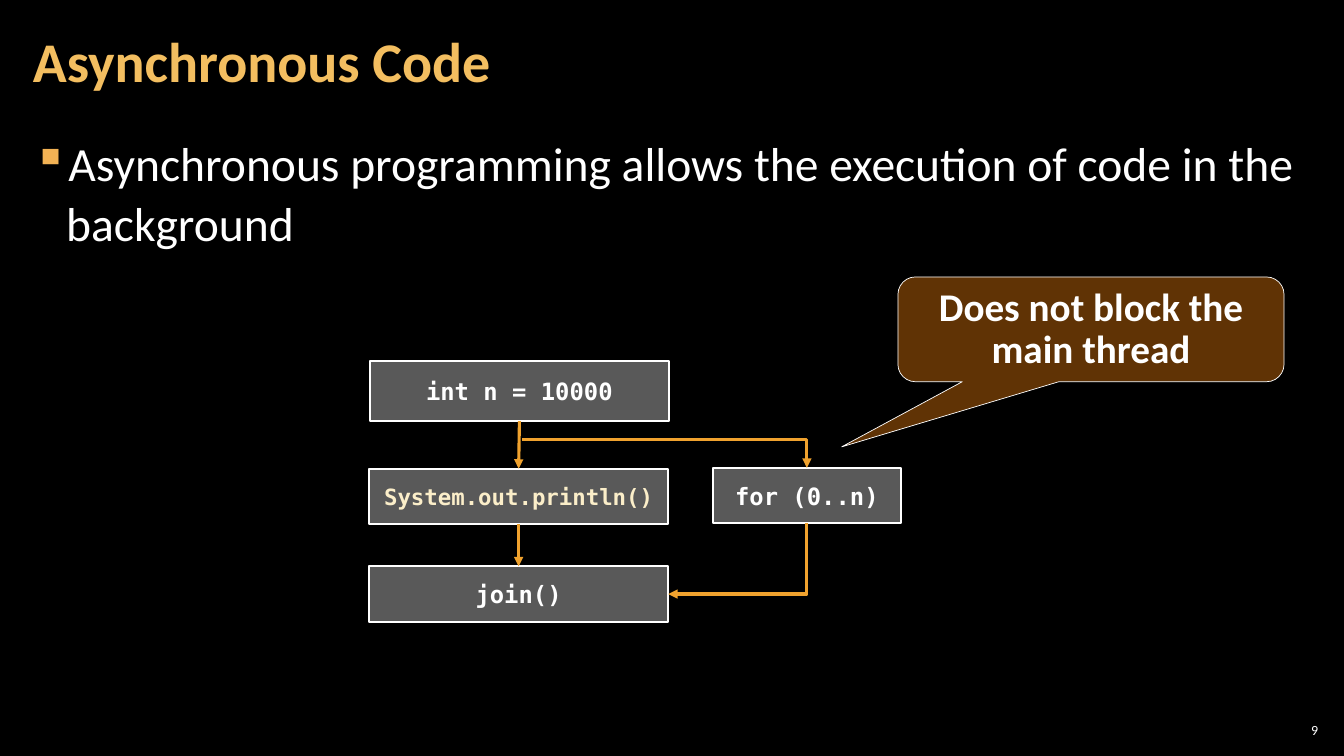
from lxml import etree
from pptx import Presentation
from pptx.dml.color import RGBColor
from pptx.enum.shapes import MSO_CONNECTOR, MSO_SHAPE
from pptx.enum.text import MSO_ANCHOR, PP_ALIGN
from pptx.oxml.ns import qn
from pptx.util import Cm, Pt

STRAIGHT, ELBOW = MSO_CONNECTOR.STRAIGHT, MSO_CONNECTOR.ELBOW
RECT, CALLOUT = MSO_SHAPE.RECTANGLE, MSO_SHAPE.ROUNDED_RECTANGULAR_CALLOUT
TOP, MIDDLE = MSO_ANCHOR.TOP, MSO_ANCHOR.MIDDLE
LEFT, CENTER, RIGHT = PP_ALIGN.LEFT, PP_ALIGN.CENTER, PP_ALIGN.RIGHT

BLACK = RGBColor(0x00, 0x00, 0x00)
WHITE = RGBColor(0xFF, 0xFF, 0xFF)
GOLD = RGBColor(0xF3, 0xBE, 0x60)
BULLET = RGBColor(0xF2, 0xB2, 0x54)
CREAM = RGBColor(0xFB, 0xEE, 0xC9)
GRAY = RGBColor(0x59, 0x59, 0x59)
ORANGE = RGBColor(0xF0, 0xA2, 0x2E)
BROWN = RGBColor(0x66, 0x36, 0x06)
SANS, MONO = "Calibri", "DejaVu Sans Mono"


def write(sp, text, size, color=WHITE, font=SANS, bold=False, align=LEFT, anchor=MIDDLE):
    tf = sp.text_frame
    tf.word_wrap = True
    tf.vertical_anchor = anchor
    p = tf.paragraphs[0]
    p.alignment = align
    r = p.add_run()
    r.text = text
    r.font.name = font
    r.font.size = Pt(size)
    r.font.bold = bold
    r.font.color.rgb = color
    return p


def add_text(s, box, text, size, inset, **style):
    sp = s.shapes.add_textbox(*map(Cm, box))
    tf = sp.text_frame
    tf.margin_left = tf.margin_right = Cm(inset)
    tf.margin_top = tf.margin_bottom = Cm(0.1)
    return write(sp, text, size, **style)


def add_panel(s, kind, box, fill, line_width):
    sp = s.shapes.add_shape(kind, *map(Cm, box))
    sp.shadow.inherit = False
    sp.fill.solid()
    sp.fill.fore_color.rgb = fill
    sp.line.color.rgb = WHITE
    sp.line.width = Pt(line_width)
    return sp


def add_arrow(s, kind, source=None, target=None, start=(0, 0)):
    cxn = s.shapes.add_connector(kind, *start, *start)
    if source:
        cxn.begin_connect(*source)
    if target:
        cxn.end_connect(*target)
    cxn.line.color.rgb = ORANGE
    cxn.line.width = Pt(2.25)
    etree.SubElement(cxn.line._get_or_add_ln(), qn("a:tailEnd"), type="triangle")
    spPr = cxn._element.spPr
    etree.SubElement(spPr, qn("a:effectLst"))
    if kind == ELBOW:
        spPr.find(qn("a:prstGeom")).set("prst", "bentConnector2")
    return cxn


def turn_down_then_left(cxn):
    x1, y1, x2, y2 = cxn.begin_x, cxn.begin_y, cxn.end_x, cxn.end_y
    xfrm = cxn._element.spPr.find(qn("a:xfrm"))
    for flip in ("flipH", "flipV"):
        xfrm.attrib.pop(flip, None)
    xfrm.set("rot", "5400000")
    cxn.width, cxn.height = y2 - y1, x1 - x2
    cxn.left = (x1 + x2 - cxn.width) // 2
    cxn.top = (y1 + y2 - cxn.height) // 2


def add_title(s, box):
    p = add_text(s, box, "Asynchronous Code", 40, 0.3, color=GOLD, bold=True)
    p.line_spacing = 0.9


def add_body(s, box):
    p = add_text(s, box, "Asynchronous programming allows the execution of code in the background",
                 34, 0.3, anchor=TOP)
    pPr = p._p.get_or_add_pPr()
    pPr.set("marL", str(Cm(0.84)))
    pPr.set("indent", str(-Cm(0.84)))
    clr = etree.SubElement(pPr, qn("a:buClr"))
    etree.SubElement(clr, qn("a:srgbClr"), val=str(BULLET))
    etree.SubElement(pPr, qn("a:buChar"), char="▪")
    p.line_spacing = 1.05
    p.space_after = Pt(6)


def add_flow(s, box):
    x, y, w, h = box
    wide, narrow, tall = 7.54, 4.75, 1.4

    def step(dx, dy, width, height, code, size=17, color=WHITE):
        sp = add_panel(s, RECT, (x + dx, y + dy, width, height), GRAY, 1.5)
        write(sp, code, size, color, MONO, True, CENTER)
        return sp

    declare = step(0.02, 0, wide, 1.52, "int n = 10000")
    output = step(0, 2.72, wide, tall, "System.out.println()", 16, CREAM)
    loop = step(w - narrow, 2.7, narrow, tall, "for (0..n)")
    join = step(0, h - tall, wide, tall, "join()")

    add_arrow(s, STRAIGHT, (declare, 2), (output, 0))
    add_arrow(s, STRAIGHT, (output, 2), (join, 0))
    add_arrow(s, ELBOW, target=(loop, 0), start=(Cm(x + 3.86), Cm(y + 1.98)))
    turn_down_then_left(add_arrow(s, ELBOW, (loop, 2), (join, 3)))


def add_callout(s, box):
    sp = add_panel(s, CALLOUT, box, BROWN, 0.5)
    for i, value in enumerate((-0.646, 1.122, 0.167)):
        sp.adjustments[i] = value
    clr = sp._element.spPr.find(qn("a:solidFill")).find(qn("a:srgbClr"))
    etree.SubElement(clr, qn("a:alpha"), val="95000")
    p = write(sp, "Does not block the main thread", 28, bold=True, align=CENTER)
    p.line_spacing = Pt(30)


def add_number(s, box):
    add_text(s, box, "9", 10, 0.1, align=RIGHT)


def main():
    prs = Presentation()
    prs.slide_width, prs.slide_height = Cm(33.87), Cm(19.05)
    s = prs.slides.add_slide(prs.slide_layouts[6])
    s.background.fill.solid()
    s.background.fill.fore_color.rgb = BLACK
    add_number(s, (32.13, 18.14, 1.19, 0.53))
    add_body(s, (0.53, 3.2, 32.79, 15.47))
    add_title(s, (0.53, 0.1, 26.59, 3.07))
    add_flow(s, (9.3, 9.09, 13.41, 6.58))
    add_callout(s, (22.63, 6.98, 9.73, 2.64))
    prs.save("out.pptx")


if __name__ == "__main__":
    main()
